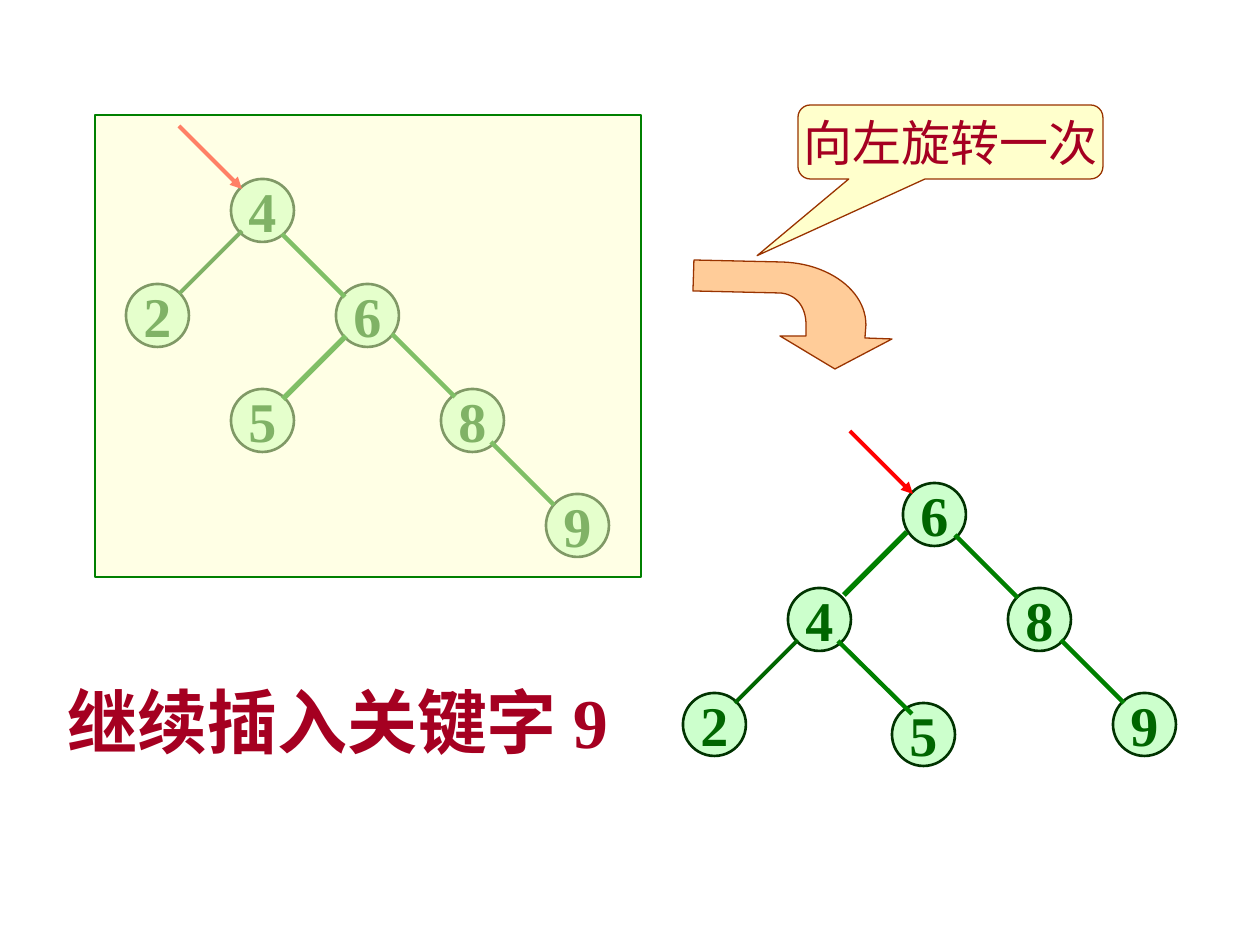
from lxml import etree
from pptx import Presentation
from pptx.dml.color import RGBColor
from pptx.enum.shapes import MSO_CONNECTOR, MSO_SHAPE
from pptx.enum.text import MSO_ANCHOR, PP_ALIGN
from pptx.oxml.ns import qn
from pptx.util import Pt

PX = 914400 / 126
FONT = "Times New Roman"
LINE = MSO_CONNECTOR.STRAIGHT
OVAL = MSO_SHAPE.OVAL
RECT = MSO_SHAPE.RECTANGLE
BUBBLE = MSO_SHAPE.ROUNDED_RECTANGULAR_CALLOUT
MIDDLE = MSO_ANCHOR.MIDDLE
CENTER = PP_ALIGN.CENTER
DARK, GREEN, RED = "006600", "008000", "FF0000"
CREAM, BROWN, WINE = "FFFFCC", "993300", "A50021"
NODE, STEP = 63, 105


def emu(*vals):
    return [round(v * PX) for v in vals]


def color(code):
    return RGBColor.from_string(code)


def paint(shape, fill, line, width):
    shape.shadow.inherit = False
    shape.fill.solid()
    shape.fill.fore_color.rgb = color(fill)
    shape.line.color.rgb = color(line)
    shape.line.width = Pt(width)


def write(shape, text, size, code, bold=False):
    para = shape.text_frame.paragraphs[0]
    para.text = text
    font = para.runs[0].font
    font.name, font.size, font.bold = FONT, Pt(size), bold
    font.color.rgb = color(code)
    return para


def label(shape, *style):
    write(shape, *style).alignment = CENTER
    shape.text_frame.vertical_anchor = MIDDLE
    shape.text_frame.word_wrap = False


def add_box(slide, kind, box, fill, line, width):
    shape = slide.shapes.add_shape(kind, *emu(*box))
    paint(shape, fill, line, width)
    return shape


def add_node(slide, key, left, top):
    node = add_box(slide, OVAL, (left, top, NODE, NODE), "CCFFCC", "003300", 1.5)
    label(node, key, 32, DARK, True)


def add_line(slide, x, y, dx, dy, code=GREEN, width=2.5, arrow=False):
    line = slide.shapes.add_connector(LINE, *emu(x, y, x + dx, y + dy))
    line.line.color.rgb = color(code)
    line.line.width = Pt(width)
    props = line.line._get_or_add_ln()
    if arrow:
        etree.SubElement(props, qn("a:tailEnd"), type="triangle")
    etree.SubElement(props.getparent(), qn("a:effectLst"))


def add_tree(slide, nodes, edges, arrow):
    for node in nodes:
        add_node(slide, *node)
    for edge in edges:
        add_line(slide, *edge)
    add_line(slide, *arrow, NODE, NODE, RED, 2.25, True)


def curve(a, b, c, d, count=24):
    points = []
    for i in range(1, count + 1):
        t = i / count
        u = 1 - t
        points.append(tuple(
            u**3 * p + 3 * u * u * t * q + 3 * u * t * t * r + t**3 * s
            for p, q, r, s in zip(a, b, c, d)))
    return points


def add_turn(slide):
    outer = curve((781, 262), (829, 263), (866, 291), (866, 325))
    inner = curve((806, 324), (806, 307), (796, 294), (780, 293))
    points = [(781, 262), *outer, (865, 338), (892, 339), (835, 369),
              (780, 336), (806, 336), (806, 324), *inner, (693, 291)]
    form = slide.shapes.build_freeform(*emu(694, 260), scale=1.0)
    form.add_line_segments([emu(*p) for p in points], close=True)
    paint(form.convert_to_shape(), "FFCC99", BROWN, 0.75)


def add_bubble(slide):
    shape = add_box(slide, BUBBLE, (798, 105, 305, 74), CREAM, BROWN, 0.75)
    for i, value in enumerate((-0.634, 1.536, 0.167)):
        shape.adjustments[i] = value
    label(shape, "向左旋转一次", 28, WINE)


def add_note(slide):
    box = slide.shapes.add_textbox(*emu(55, 672, 585, 181))
    box.text_frame.word_wrap = True
    write(box, "继续插入关键字 9", 40, WINE, True).space_before = Pt(25)


def add_veil(slide):
    veil = add_box(slide, RECT, (95, 115, 546, 462), CREAM, GREEN, 0.75)
    fill = veil.fill._xPr.find(qn("a:solidFill"))
    etree.SubElement(fill[0], qn("a:alpha"), val="50000")


def main():
    deck = Presentation()
    deck.slide_width, deck.slide_height = emu(1260, 945)
    slide = deck.slides.add_slide(deck.slide_layouts[6])

    cells = [("4", 1, 0), ("2", 0, 1), ("6", 2, 1),
             ("5", 1, 2), ("8", 3, 2), ("9", 4, 3)]
    before = [(key, 126 + col * STEP, 179 + row * STEP)
              for key, col, row in cells]
    add_tree(slide, before, [
        (242, 231, -NODE, NODE, DARK, 2.25),
        (282, 234, NODE, NODE),
        (346, 336, -NODE, NODE, GREEN, 3),
        (392, 334, NODE, NODE),
        (491, 442, NODE, NODE),
    ], (179, 126))

    after = [("6", 903, 483), ("4", 788, 588), ("2", 683, 693),
             ("8", 1008, 588), ("9", 1113, 693), ("5", 892, 703)]
    add_tree(slide, after, [
        (798, 640, -NODE, NODE, DARK, 2.25),
        (907, 532, -NODE, NODE, GREEN, 3),
        (955, 535, NODE, NODE),
        (1061, 640, NODE, NODE),
        (838, 641, 74, 73),
    ], (850, 431))

    add_turn(slide)
    add_bubble(slide)
    add_note(slide)
    add_veil(slide)
    deck.save("out.pptx")


if __name__ == "__main__":
    main()
